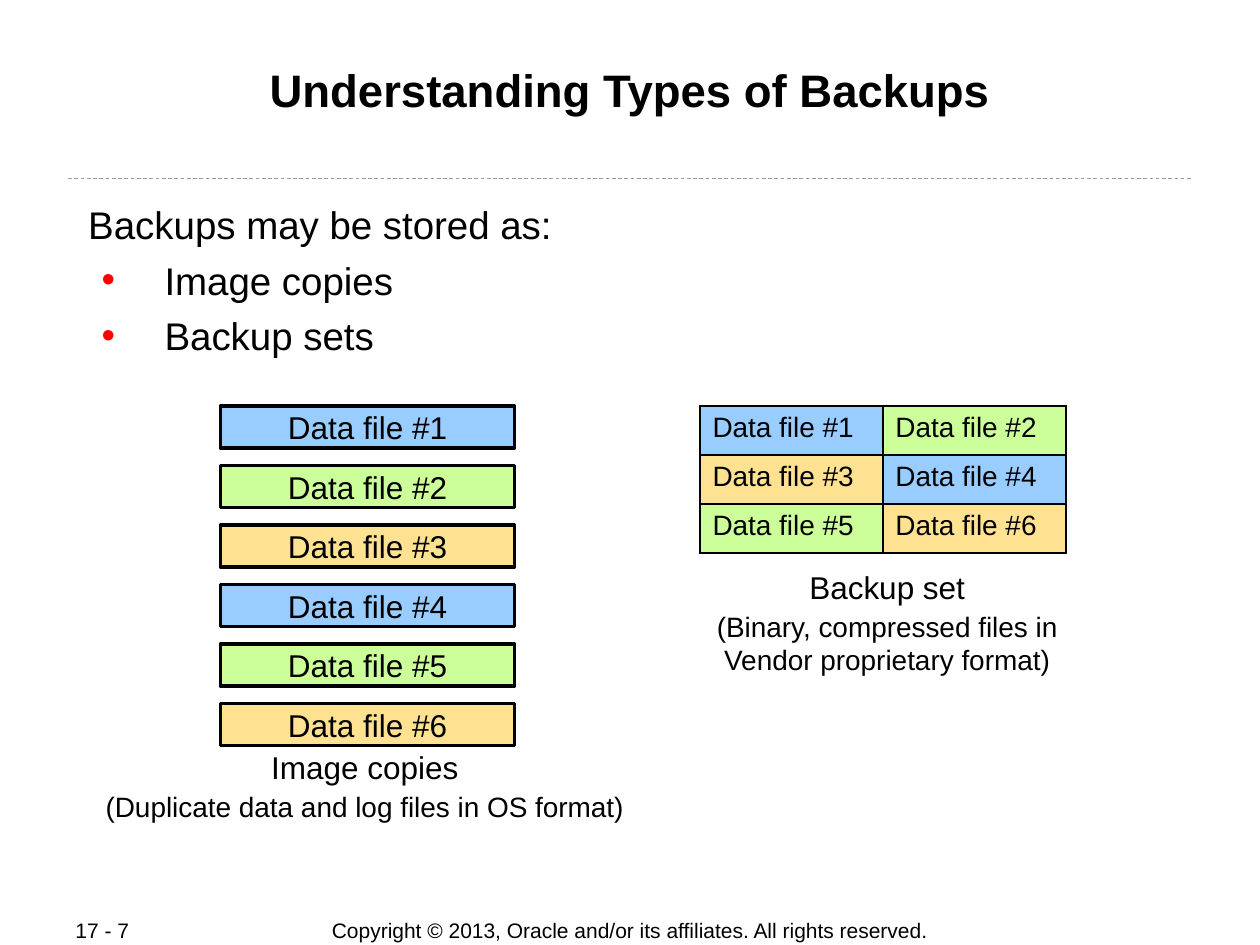
from itertools import cycle

from lxml.etree import SubElement
from pptx import Presentation
from pptx.dml.color import RGBColor
from pptx.enum.dml import MSO_LINE
from pptx.enum.shapes import MSO_CONNECTOR, MSO_SHAPE
from pptx.enum.text import MSO_ANCHOR, MSO_AUTO_SIZE, PP_ALIGN
from pptx.oxml.ns import qn
from pptx.util import Pt

HUES = {
    "ink": "000000", "rule": "999999", "dot": "FF0000",
    "blue": "99CCFF", "green": "CCFF99", "gold": "FFE291",
}
FILES = [f"Data file #{n}" for n in range(1, 7)]


def hue(name):
    return RGBColor.from_string(HUES[name])


def tints():
    return cycle(("blue", "green", "gold"))


def style(para, size, bold=False, align=PP_ALIGN.LEFT, gap=0):
    para.alignment = align
    para.space_before = Pt(gap)
    for run in para.runs:
        font = run.font
        font.name, font.size, font.bold = "Arial", Pt(size), bold
        font.color.rgb = hue("ink")


def place(shape, left, top, width, height):
    shape.left, shape.top = Pt(left), Pt(top)
    shape.width, shape.height = Pt(width), Pt(height)


def inset(frame, size):
    frame.margin_left = frame.margin_right = Pt(size)
    frame.margin_top = frame.margin_bottom = Pt(size)
    frame.vertical_anchor = MSO_ANCHOR.TOP
    frame.auto_size = MSO_AUTO_SIZE.NONE


def add_title(slide, text):
    title = slide.shapes.title
    place(title, 48, 34.5, 624, 69)
    frame = title.text_frame
    inset(frame, 0.7)
    frame.text = text
    style(frame.paragraphs[0], 26, True, PP_ALIGN.CENTER)


def set_bullet(para):
    props = para._p.get_or_add_pPr()
    props.set("marL", str(Pt(45)))
    props.set("indent", str(Pt(-36)))
    color = SubElement(props, qn("a:buClr"))
    SubElement(color, qn("a:srgbClr")).set("val", HUES["dot"])
    SubElement(props, qn("a:buFont")).set("typeface", "Arial")
    SubElement(props, qn("a:buChar")).set("char", "•")


def add_list(slide, intro, items):
    body = slide.placeholders[1]
    place(body, 48.3, 114, 624, 137.5)
    frame = body.text_frame
    inset(frame, 0.7)
    frame.text = "\n".join([intro, *items])
    head, *rest = frame.paragraphs
    props = head._p.get_or_add_pPr()
    props.set("marL", str(Pt(0.7)))
    props.set("indent", str(Pt(0.7)))
    SubElement(props, qn("a:buNone"))
    style(head, 22)
    for para in rest:
        para.level = 1
        set_bullet(para)
        style(para, 22, gap=5.5)


def add_rule(slide):
    rule = slide.shapes.add_connector(
        MSO_CONNECTOR.STRAIGHT, Pt(39), Pt(102), Pt(681), Pt(102))
    rule.line.color.rgb = hue("rule")
    rule.line.width = Pt(0.5)
    rule.line.dash_style = MSO_LINE.DASH
    SubElement(rule._element.spPr, qn("a:effectLst"))


def add_foot(slide, text, left, width, align):
    box = slide.shapes.add_textbox(Pt(left), Pt(524), Pt(width), Pt(15))
    frame = box.text_frame
    frame.word_wrap = False
    frame.vertical_anchor = MSO_ANCHOR.MIDDLE
    frame.text = text
    style(frame.paragraphs[0], 12, align=align)


def add_file(slide, text, top, tint):
    box = slide.shapes.add_shape(
        MSO_SHAPE.RECTANGLE, Pt(126), Pt(top), Pt(168), Pt(24))
    box.shadow.inherit = False
    box.fill.solid()
    box.fill.fore_color.rgb = hue(tint)
    box.line.color.rgb = hue("ink")
    box.line.width = Pt(2.25)
    frame = box.text_frame
    frame.word_wrap = False
    frame.vertical_anchor = MSO_ANCHOR.MIDDLE
    frame.text = text
    style(frame.paragraphs[0], 18, align=PP_ALIGN.CENTER)


def add_label(slide, name, note, left, top, width, height):
    box = slide.shapes.add_textbox(Pt(left), Pt(top), Pt(width), Pt(height))
    frame = box.text_frame
    frame.word_wrap = True
    frame.text = f"{name}\n{note}"
    first, last = frame.paragraphs
    style(first, 18, align=PP_ALIGN.CENTER)
    style(last, 16, align=PP_ALIGN.CENTER, gap=2)


def set_border(cell):
    props = cell._tc.get_or_add_tcPr()
    for n, side in enumerate(("lnL", "lnR", "lnT", "lnB")):
        line = props.makeelement(qn(f"a:{side}"), {"w": str(Pt(1.08))})
        props.insert(n, line)
        fill = SubElement(line, qn("a:solidFill"))
        SubElement(fill, qn("a:srgbClr")).set("val", HUES["ink"])


def add_set(slide):
    table = slide.shapes.add_table(
        3, 2, Pt(400), Pt(232), Pt(209), Pt(84)).table
    for cell, text, tint in zip(table.iter_cells(), FILES, tints()):
        cell.fill.solid()
        cell.fill.fore_color.rgb = hue(tint)
        set_border(cell)
        cell.text_frame.text = text
        style(cell.text_frame.paragraphs[0], 16)


def main():
    deck = Presentation()
    deck.slide_width, deck.slide_height = Pt(720), Pt(540)
    slide = deck.slides.add_slide(deck.slide_layouts[1])

    # Footer and rule
    add_foot(slide, "Copyright © 2013, Oracle and/or its affiliates. "
             "All rights reserved.", 179, 362, PP_ALIGN.CENTER)
    add_rule(slide)
    add_foot(slide, "17 - 7", 36, 76, PP_ALIGN.LEFT)

    # Title and list
    add_title(slide, "Understanding Types of Backups")
    add_list(slide, "Backups may be stored as:",
             ["Image copies", "Backup sets"])

    # Image copies: one box per file
    for n, (text, tint) in enumerate(zip(FILES, tints())):
        add_file(slide, text, 232 + 34 * n, tint)
    add_label(slide, "Image copies",
              "(Duplicate data and log files in OS format)",
              30, 424, 357, 50)

    # Backup set: all files in one grid
    add_set(slide)
    add_label(slide, "Backup set",
              "(Binary, compressed files in Vendor proprietary format)",
              384, 321, 246, 69)

    deck.save("out.pptx")


if __name__ == "__main__":
    main()
